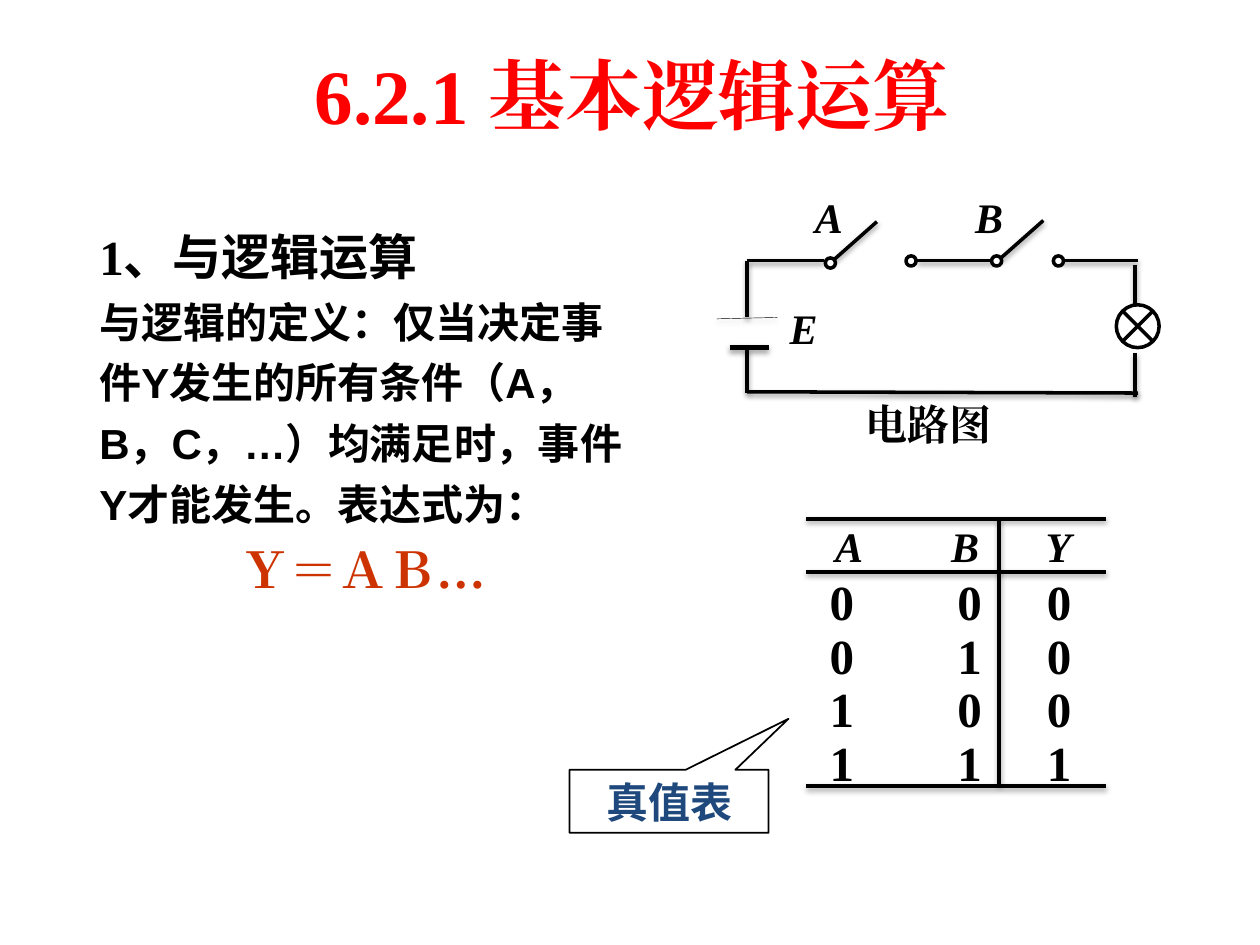
import dataclasses

import pptx
import pptx.dml.color
import pptx.enum.shapes
import pptx.enum.text
import pptx.oxml
import pptx.oxml.ns
import pptx.util

Pt = pptx.util.Pt
SHAPES = pptx.enum.shapes.MSO_SHAPE
ALIGN = pptx.enum.text.PP_ALIGN
ANCHOR = pptx.enum.text.MSO_ANCHOR
SERIF, SANS = "Times New Roman", "Arial"
COLORS = {
    "paper": "FFFFFF",
    "ink": "000000",
    "title": "FF0000",
    "formula": "CC3300",
    "callout": "1F497D",
}
SHADOW = (
    '<a:effectLst xmlns:a="http://schemas.openxmlformats.org/drawingml/2006/main">'
    '<a:outerShdw blurRad="39370" dist="20320" dir="5400000" rotWithShape="0">'
    '<a:srgbClr val="000000"><a:alpha val="38000"/></a:srgbClr>'
    "</a:outerShdw></a:effectLst>"
)


@dataclasses.dataclass(frozen=True)
class Wire:
    x1: float
    y1: float
    x2: float
    y2: float
    weight: float = 2


@dataclasses.dataclass(frozen=True)
class Label:
    text: str
    left: float
    top: float
    width: float = 36
    size: float = 24
    italic: bool = True


@dataclasses.dataclass(frozen=True)
class Line:
    pieces: tuple
    size: float = 24
    color: str = "ink"
    align: ALIGN = ALIGN.LEFT


def rgb(name: str) -> pptx.dml.color.RGBColor:
    return pptx.dml.color.RGBColor.from_string(COLORS[name])


def format_run(run, size: float, font: str, color: str, italic: bool = False) -> None:
    run.font.size = Pt(size)
    run.font.name = font
    run.font.bold = True
    run.font.italic = italic
    run.font.color.rgb = rgb(color)
    east_asian = pptx.oxml.parse_xml(
        '<a:ea xmlns:a="http://schemas.openxmlformats.org/drawingml/2006/main" '
        f'typeface="{font}"/>'
    )
    run.font._element.find(pptx.oxml.ns.qn("a:latin")).addnext(east_asian)


def draw_wire(slide, wire: Wire) -> None:
    connector = slide.shapes.add_connector(
        pptx.enum.shapes.MSO_CONNECTOR.STRAIGHT,
        Pt(wire.x1), Pt(wire.y1), Pt(wire.x2), Pt(wire.y2),
    )
    connector.line.width = Pt(wire.weight)
    connector.line.color.rgb = rgb("ink")
    connector._element.spPr.append(pptx.oxml.parse_xml(SHADOW))


def draw_shape(slide, kind, left: float, top: float, width: float, height: float,
               weight: float = 2):
    shape = slide.shapes.add_shape(kind, Pt(left), Pt(top), Pt(width), Pt(height))
    shape.shadow.inherit = False
    shape.fill.solid()
    shape.fill.fore_color.rgb = rgb("paper")
    shape.line.color.rgb = rgb("ink")
    shape.line.width = Pt(weight)
    return shape


def draw_label(slide, label: Label) -> None:
    box = slide.shapes.add_textbox(
        Pt(label.left), Pt(label.top), Pt(label.width), Pt(label.size * 1.2 + 7.2)
    )
    box.text_frame.word_wrap = True
    box.text_frame.text = label.text
    format_run(box.text_frame.paragraphs[0].runs[0], label.size, SERIF, "ink", label.italic)


def draw_title(slide) -> None:
    title = slide.shapes.title
    title.left, title.top, title.width, title.height = Pt(25.2), Pt(18), Pt(672.5), Pt(90)
    frame = title.text_frame
    frame.text = "6.2.1 基本逻辑运算"
    frame.vertical_anchor = ANCHOR.TOP
    frame.margin_top = Pt(9)
    frame.paragraphs[0].alignment = ALIGN.CENTER
    format_run(frame.paragraphs[0].runs[0], 44, SERIF, "title")


def draw_definition(slide) -> None:
    lines = [
        Line((("1", SERIF), ("、与逻辑运算", SANS)), 28),
        Line((("与逻辑的定义：仅当决定事", SANS),)),
        Line((("件Y发生的所有条件（A，", SANS),)),
        Line((("B，C，…）均满足时，事件", SANS),)),
        Line((("Y才能发生。表达式为：", SANS),)),
        Line((("Ｙ＝ＡＢ…", SERIF),), 28, "formula", ALIGN.CENTER),
    ]
    box = slide.shapes.add_textbox(Pt(49.7), Pt(126), Pt(315.4), Pt(354.2))
    frame = box.text_frame
    frame.word_wrap = True
    for index, line in enumerate(lines):
        paragraph = frame.add_paragraph() if index else frame.paragraphs[0]
        paragraph.alignment = line.align
        paragraph.space_before = Pt(6)
        properties = paragraph._p.get_or_add_pPr()
        properties.set("marL", str(int(Pt(27))))
        properties.set("indent", str(int(Pt(-27))))
        for text, font in line.pieces:
            run = paragraph.add_run()
            run.text = text
            format_run(run, line.size, font, line.color)


def draw_circuit(slide) -> None:
    left, right, top, bottom = 427, 648.7, 149, 224.6
    wires = [
        Wire(right, 151.2, right, 176.4),
        Wire(right, 201.6, right, 226.8),
        Wire(475.9, top, 501.1, 126.7),
        Wire(571, 148.3, 596.2, 126),
        Wire(left, top, 470.9, top),
        Wire(524.2, top, 568.1, top),
        Wire(606.2, top, 650.2, top),
        Wire(left, 223.9, 650.2, bottom),
        Wire(left, top, left, 181.4),
        Wire(left, 199.4, left, bottom),
        Wire(409.7, 182.2, 444.2, 181.4, 0.25),
        Wire(416.9, 198.7, 439.2, 198.7, 3),
    ]
    for wire in wires:
        draw_wire(slide, wire)
    for x, y in ((471.6, 147.4), (517.7, 146.2), (566.6, 146.2), (601.9, 146.2)):
        draw_shape(slide, SHAPES.OVAL, x, y, 5.8, 5.8)
    draw_shape(slide, SHAPES.FLOWCHART_SUMMING_JUNCTION, 637.9, 174.2, 24.5, 24.5)
    for label in (
        Label("A", 458.6, 105.8),
        Label("B", 550.1, 105.8),
        Label("E", 444.2, 169.2),
        Label("电路图", 487.4, 223.9, 111.6, italic=False),
    ):
        draw_label(slide, label)


def draw_truth_table(slide) -> None:
    for y in (296.6, 326.9, 449.3):
        draw_wire(slide, Wire(460.8, y, 632.2, y))
    draw_wire(slide, Wire(571, 296.6, 571, 448.6))
    for name, x in (("A", 470.2), ("B", 536.4), ("Y", 590.4)):
        draw_label(slide, Label(name, x, 294))
    for row, values in enumerate(("000", "010", "100", "111")):
        for value, x in zip(values, (467, 540, 591.1)):
            draw_label(slide, Label(value, x, 323.3 + 30.5 * row, size=28, italic=False))


def draw_callout(slide) -> None:
    callout = draw_shape(slide, SHAPES.RECTANGULAR_CALLOUT, 325.4, 439.9, 113.8, 36, 1)
    callout.adjustments[0] = 0.6
    callout.adjustments[1] = -1.31
    frame = callout.text_frame
    frame.text = "真值表"
    frame.vertical_anchor = ANCHOR.MIDDLE
    frame.paragraphs[0].alignment = ALIGN.CENTER
    format_run(frame.paragraphs[0].runs[0], 24, SANS, "callout")


def main() -> None:
    presentation = pptx.Presentation()
    presentation.slide_width, presentation.slide_height = Pt(720), Pt(540)
    slide = presentation.slides.add_slide(presentation.slide_layouts[5])
    draw_title(slide)
    draw_definition(slide)
    draw_callout(slide)
    draw_circuit(slide)
    draw_truth_table(slide)
    presentation.save("out.pptx")


if __name__ == "__main__":
    main()
